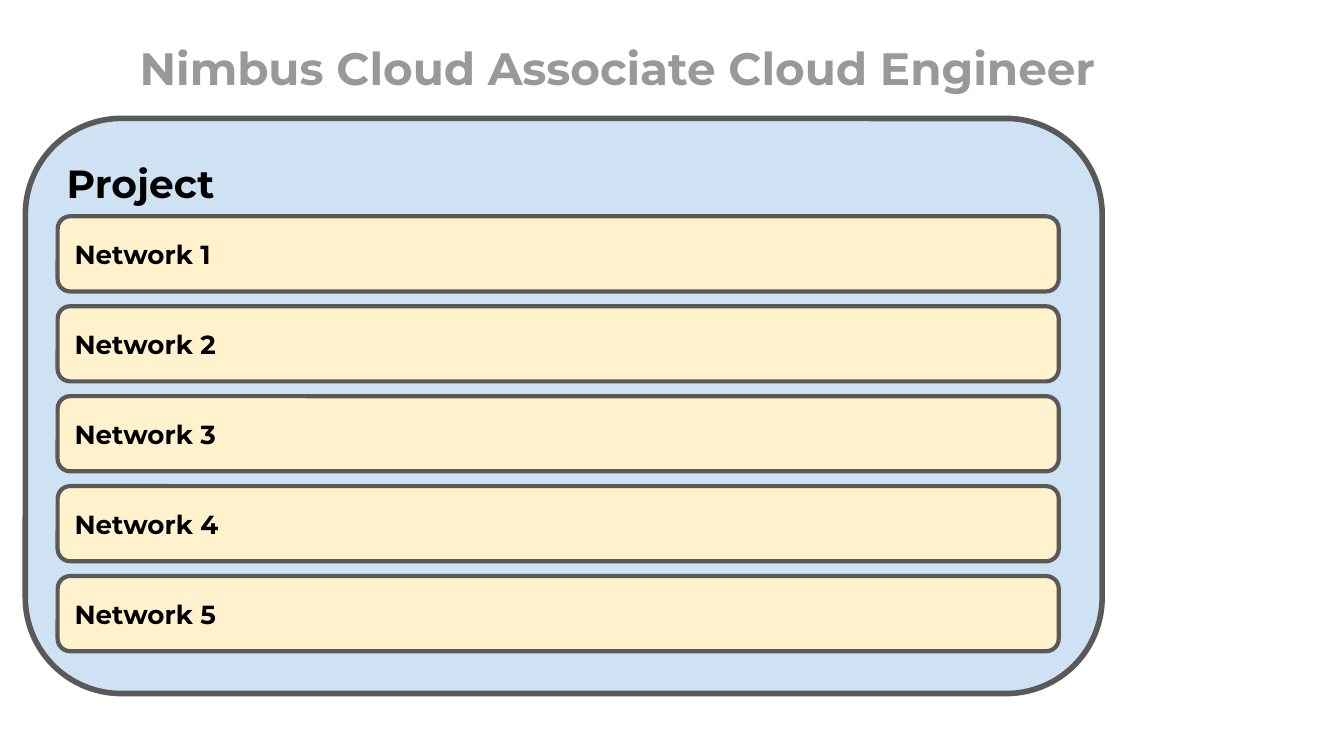
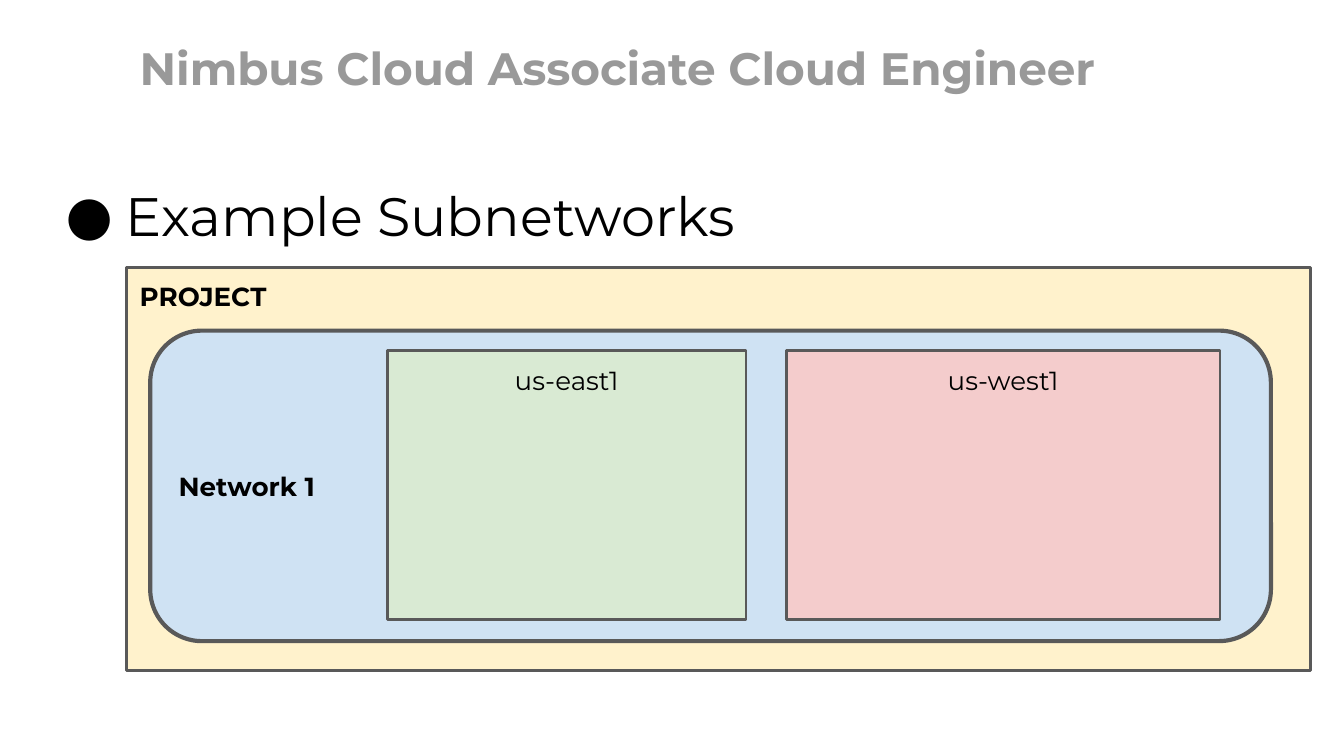
from dataclasses import dataclass

from lxml import etree
from pptx import Presentation
from pptx import util as u
from pptx.dml.color import RGBColor
from pptx.enum import shapes, text
from pptx.oxml import ns

FONT = "Montserrat"
HEAD = "Nimbus Cloud Associate Cloud Engineer"
BLACK = RGBColor(0x00, 0x00, 0x00)
WHITE = RGBColor(0xFF, 0xFF, 0xFF)
GREY = RGBColor(0x99, 0x99, 0x99)
EDGE = RGBColor(0x59, 0x59, 0x59)
BLUE = RGBColor(0xCF, 0xE2, 0xF3)
CREAM = RGBColor(0xFF, 0xF2, 0xCC)
GREEN = RGBColor(0xD9, 0xEA, 0xD3)
PINK = RGBColor(0xF4, 0xCC, 0xCC)

RECT = shapes.MSO_SHAPE.RECTANGLE
ROUND = shapes.MSO_SHAPE.ROUNDED_RECTANGLE
TOP = text.MSO_ANCHOR.TOP
MID = text.MSO_ANCHOR.MIDDLE
LEFT = text.PP_ALIGN.LEFT
MIDDLE = text.PP_ALIGN.CENTER


@dataclass(frozen=True)
class Box:
    label: str
    x: float
    y: float
    w: float
    h: float
    fill: RGBColor
    kind: int = RECT
    line: float = 1.5
    size: float = 14
    bold: bool = True
    anchor: int = TOP
    align: int = LEFT


def write(frame, label: str, size: float, color: RGBColor = BLACK,
          bold: bool = False, anchor: int = TOP, align: int = LEFT):
    frame.word_wrap = True
    frame.auto_size = text.MSO_AUTO_SIZE.NONE
    frame.vertical_anchor = anchor
    frame.margin_left = frame.margin_right = u.Cm(0.25)
    frame.margin_top = frame.margin_bottom = u.Cm(0.25)
    para = frame.paragraphs[0]
    para.alignment = align
    run = para.add_run()
    run.text = label
    font = run.font
    font.name, font.size, font.bold = FONT, u.Pt(size), bold
    font.color.rgb = color
    return para


def start(deck):
    slide = deck.slides.add_slide(deck.slide_layouts[5])
    slide.background.fill.solid()
    slide.background.fill.fore_color.rgb = WHITE
    title = slide.shapes.title
    title.left, title.top = u.Cm(2.39), u.Cm(0.43)
    title.width, title.height = u.Cm(21.64), u.Cm(1.6)
    write(title.text_frame, HEAD, 24.3, GREY, True, text.MSO_ANCHOR.BOTTOM)
    return slide


def draw(slide, box: Box) -> None:
    shape = slide.shapes.add_shape(
        box.kind, u.Cm(box.x), u.Cm(box.y), u.Cm(box.w), u.Cm(box.h))
    shape.shadow.inherit = False
    shape.fill.solid()
    shape.fill.fore_color.rgb = box.fill
    shape.line.color.rgb = EDGE
    shape.line.width = u.Pt(box.line)
    write(shape.text_frame, box.label, box.size, bold=box.bold,
          anchor=box.anchor, align=box.align)


def bullet(para) -> None:
    props = para._p.get_or_add_pPr()
    props.set("marL", str(u.Cm(1.27)))
    props.set("indent", str(-u.Cm(1.14)))
    tint = etree.SubElement(props, ns.qn("a:buClr"))
    etree.SubElement(tint, ns.qn("a:srgbClr")).set("val", str(BLACK))
    etree.SubElement(props, ns.qn("a:buFont")).set("typeface", FONT)
    etree.SubElement(props, ns.qn("a:buChar")).set("char", "●")


def networks(deck) -> None:
    slide = start(deck)
    draw(slide, Box("Project", 0.48, 2.24, 20.35, 10.87, BLUE, ROUND, 3, 21))
    for row in range(5):
        draw(slide, Box(f"Network {row + 1}", 1.09, 4.09 + 1.7 * row, 18.92,
                        1.42, CREAM, ROUND, 2.25, anchor=MID))


def subnets(deck) -> None:
    slide = start(deck)
    body = slide.shapes.add_textbox(
        u.Cm(0.86), u.Cm(3.2), u.Cm(24.13), u.Cm(9.5))
    bullet(write(body.text_frame, "Example Subnetworks", 29))
    draw(slide, Box("PROJECT", 2.39, 5.05, 22.38, 7.62, CREAM))
    draw(slide, Box("Network 1", 2.84, 6.25, 21.18, 5.87, BLUE, ROUND, 2.25,
                    anchor=MID))
    for label, x, w, fill in (("us-east1", 7.32, 6.78, GREEN),
                              ("us-west1", 14.86, 8.2, PINK)):
        draw(slide, Box(label, x, 6.63, w, 5.08, fill, bold=False,
                        align=MIDDLE))


def main() -> None:
    deck = Presentation()
    deck.slide_width, deck.slide_height = u.Cm(25.4), u.Cm(14.29)
    networks(deck)
    subnets(deck)
    deck.save("out.pptx")


if __name__ == "__main__":
    main()
